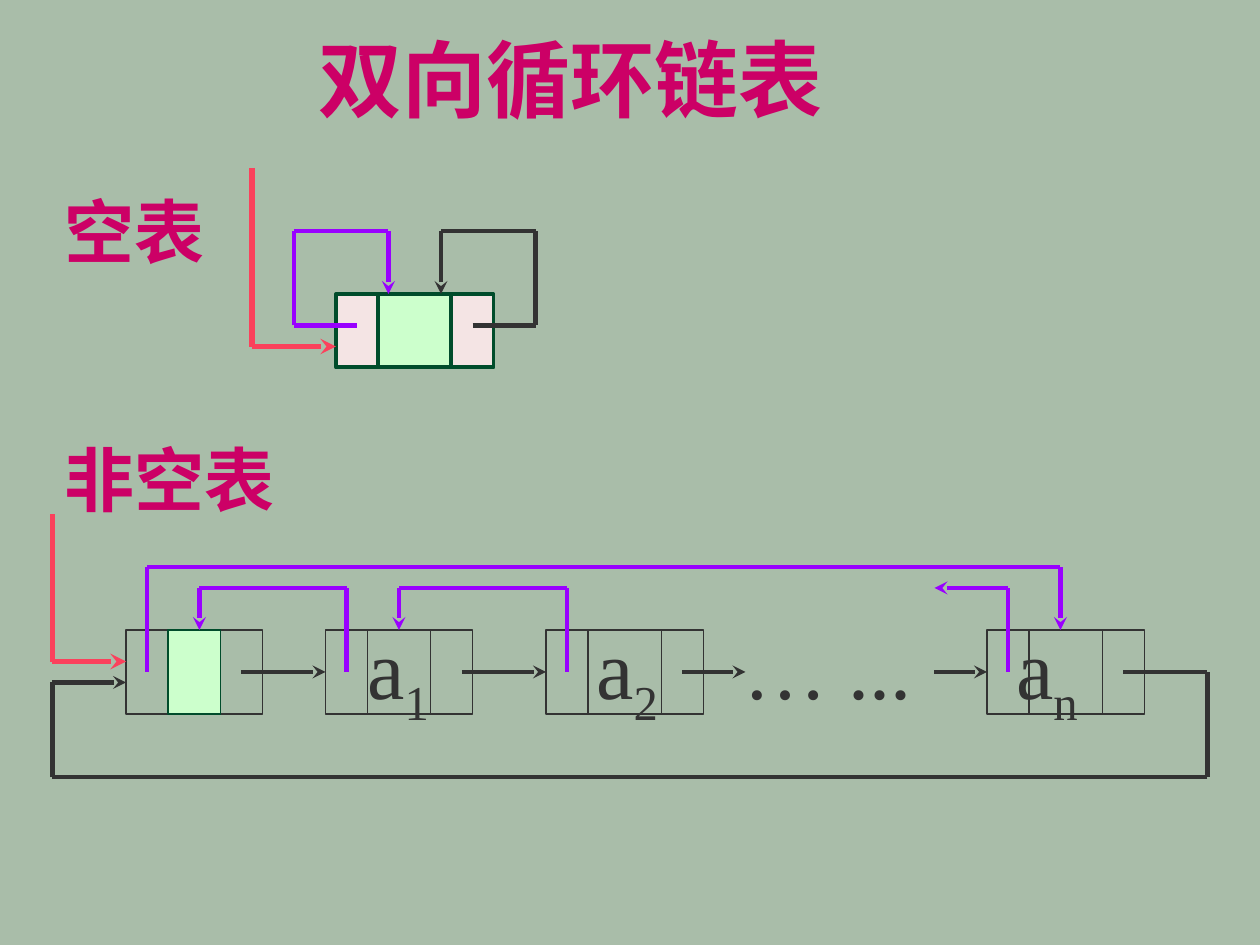
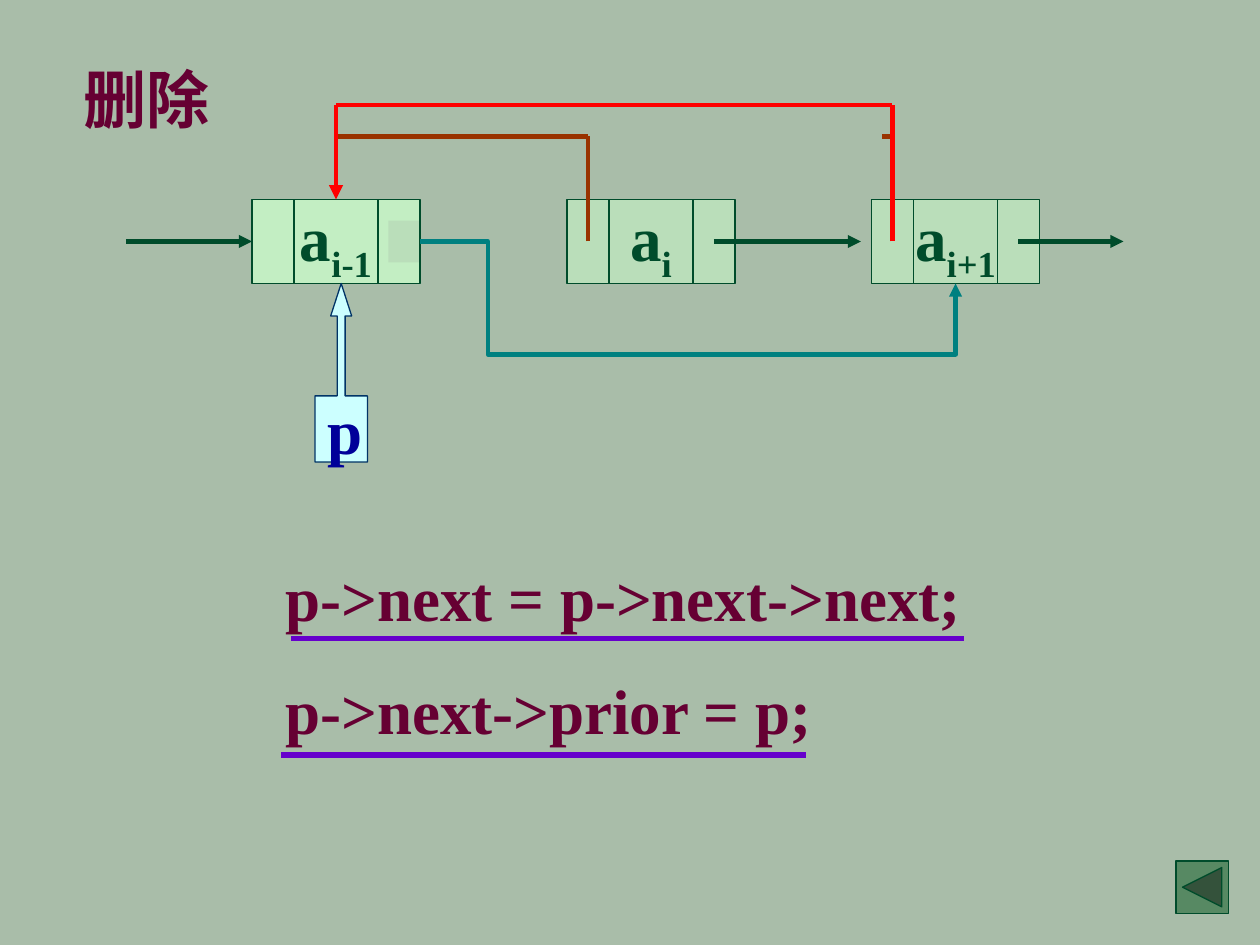
from lxml import etree
from pptx import Presentation
from pptx import util as u
from pptx.dml.color import RGBColor
from pptx.enum import shapes, text
from pptx.oxml.ns import qn

PX = 7620
FONT = "Times New Roman"
BACKGROUND = "A9BDA9"
INK = "333333"
GREEN = "004C2B"
MINT = "CCFFCC"
PALE_GREEN = "BADEBA"
PINK = "F4E4E4"
MAGENTA = "CC0066"
MAROON = "660033"
PURPLE = "9900FF"
CORAL = "FB415C"
TEAL = "008080"
BROWN = "993300"
RED = "FF0000"
color = RGBColor.from_string
RECTANGLE = shapes.MSO_SHAPE.RECTANGLE


def block(slide, frame, runs=(), size=36, ink=MAROON, bold=True,
          preset=None, fill=None, outline=None, width=0.75):
    frame = [length * PX for length in frame]
    if preset is None:
        shape = slide.shapes.add_textbox(*frame)
    else:
        shape = slide.shapes.add_shape(preset, *frame)
        shape.shadow.inherit = False
        if fill:
            shape.fill.solid()
            shape.fill.fore_color.rgb = color(fill)
        else:
            shape.fill.background()
        if outline:
            shape.line.color.rgb = color(outline)
            shape.line.width = u.Pt(width)
        else:
            shape.line.fill.background()
    shape.text_frame.word_wrap = preset != RECTANGLE
    paragraph = shape.text_frame.paragraphs[0]
    for index, words in enumerate(runs):
        run = paragraph.add_run()
        run.text = words
        run.font.name = FONT
        run.font.size = u.Pt(size)
        run.font.bold = bold
        run.font.color.rgb = color(ink)
        if index:
            run._r.get_or_add_rPr().set("baseline", "-25000")
    return shape


def route(slide, points, ink, width=2.5, arrow=None, begin=None, end=None,
          kind=shapes.MSO_CONNECTOR.STRAIGHT):
    legs = list(zip(points, points[1:]))
    for number, (start, finish) in enumerate(legs, 1):
        connector = slide.shapes.add_connector(
            kind, *[length * PX for length in start + finish])
        connector.line.color.rgb = color(ink)
        connector.line.width = u.Pt(width)
        if begin and number == 1:
            connector.begin_connect(*begin)
        if number == len(legs):
            if end:
                connector.end_connect(*end)
            if arrow:
                etree.SubElement(connector.line._get_or_add_ln(),
                                 qn("a:tailEnd"), type=arrow)
        etree.SubElement(connector._element.spPr, qn("a:effectLst"))
    return connector


presentation = Presentation()
presentation.slide_width = 1200 * PX
presentation.slide_height = 900 * PX
slides = []
for _ in range(2):
    slide = presentation.slides.add_slide(presentation.slide_layouts[6])
    slide.background.fill.solid()
    slide.background.fill.fore_color.rgb = color(BACKGROUND)
    slides.append(slide)
circular, deletion = slides

block(circular, (292, 20, 540, 108), ["双向循环链表"], 48, MAGENTA)
block(circular, (50, 174, 180, 92), ["空表"], 40, MAGENTA)
block(circular, (50, 410, 250, 92), ["非空表"], 40, MAGENTA)

for x, width, fill in [(360, 70, MINT), (430, 40, PINK), (320, 40, PINK)]:
    block(circular, (x, 280, width, 70), preset=RECTANGLE,
          fill=fill, outline=GREEN, width=2.25)
route(circular, [(450, 310), (510, 310), (510, 220), (420, 220), (420, 280)],
      INK, arrow="stealth")
route(circular, [(340, 310), (280, 310), (280, 220), (370, 220), (370, 280)],
      PURPLE, arrow="stealth")
route(circular, [(240, 160), (240, 330), (320, 330)], CORAL, 3, "stealth")

for x, label in [(338, ("a", "1")), (556, ("a", "2")),
                 (696, ("… ...",)), (956, ("a", "n"))]:
    block(circular, (x, 580, 200, 104), label, 48, INK, False)

nodes = []
for left, data_left, data_right, right in [
        (120, 160, 210, 250), (310, 350, 410, 450),
        (520, 560, 630, 670), (940, 980, 1050, 1090)]:
    nodes.append(block(circular, (left, 600, right - left, 80),
                       preset=RECTANGLE, outline=INK))
    for x in (data_left, data_right):
        route(circular, [(x, 600), (x, 680)], INK, 0.75)
head, first, second, last = nodes
block(circular, (160, 600, 50, 80), preset=RECTANGLE, fill=MINT, outline=GREEN)

for start, finish, target in [(230, 310, first), (440, 520, second),
                              (650, 710, None), (890, 940, last)]:
    route(circular, [(start, 640), (finish, 640)], INK, arrow="stealth",
          end=target and (target, 1))
route(circular, [(50, 490), (50, 630), (120, 630)], CORAL, 3, "stealth")
route(circular, [(1070, 640), (1150, 640), (1150, 740), (50, 740),
                 (50, 650), (120, 650)], INK, arrow="stealth")

route(circular, [(960, 640), (960, 560), (890, 560)], PURPLE, arrow="stealth")
for source, level, target, joint in [(540, 560, 380, (first, 0)),
                                     (330, 560, 190, None),
                                     (140, 540, 1010, None)]:
    route(circular, [(source, 640), (source, level), (target, level),
                     (target, 600)], PURPLE, arrow="stealth", end=joint)

block(deletion, (68, 52, 170, 84), ["删除"])

nodes = []
for left, index, fill in [(240, "i-1", "C3EEC3"), (540, "i", PALE_GREEN),
                          (830, "i+1", PALE_GREEN)]:
    node = block(deletion, (left, 190, 160, 80), ("a", index), ink=GREEN,
                 preset=RECTANGLE, fill=fill, outline=GREEN)
    node.text_frame.vertical_anchor = text.MSO_ANCHOR.MIDDLE
    node.text_frame.paragraphs[0].alignment = text.PP_ALIGN.CENTER
    nodes.append(node)
    for x in (left + 40, left + 120):
        route(deletion, [(x, 190), (x, 270)], GREEN, 0.75)
previous, removed, following = nodes
block(deletion, (370, 210, 29, 40), preset=RECTANGLE, fill=PALE_GREEN)

for start, finish, joint in [(120, 240, (previous, 1)), (680, 820, None),
                             (970, 1070, None)]:
    route(deletion, [(start, 230), (finish, 230)], GREEN,
          arrow="triangle", end=joint)

route(deletion, [(840, 130), (850, 130)], BROWN)
route(deletion, [(560, 230), (560, 130), (320, 130)], BROWN)
route(deletion, [(850, 230), (850, 100), (320, 100), (320, 190)], RED, 2.75,
      "triangle", end=(previous, 0))

bypass = route(deletion, [(400, 230), (910, 270)], TEAL, arrow="triangle",
               begin=(previous, 3), end=(following, 2),
               kind=shapes.MSO_CONNECTOR.ELBOW)
geometry = bypass._element.spPr.find(qn("a:prstGeom"))
geometry.set("prst", "bentConnector4")
guides = geometry.find(qn("a:avLst"))
for name, value in [("adj1", 12700), ("adj2", 268800)]:
    etree.SubElement(guides, qn("a:gd"), name=name, fmla=f"val {value}")

pointer = block(deletion, (300, 270, 50, 170), ["p"], ink="000099",
                preset=shapes.MSO_SHAPE.UP_ARROW_CALLOUT,
                fill="CCFFFF", outline="003366")
for index, value in enumerate((0.15, 0.2, 0.62, 0.37)):
    pointer.adjustments[index] = value
pointer.text_frame.vertical_anchor = text.MSO_ANCHOR.MIDDLE
pointer.text_frame.paragraphs[0].alignment = text.PP_ALIGN.CENTER

code = block(deletion, (260, 490, 760, 228))
code.text_frame.text = "p->next = p->next->next;\np->next->prior = p;"
for paragraph in code.text_frame.paragraphs:
    paragraph.line_spacing = 1.5
    font = paragraph.runs[0].font
    font.name = FONT
    font.size = u.Pt(36)
    font.bold = True
    font.color.rgb = color(MAROON)
for left, right, y in [(277, 918, 608), (268, 768, 719)]:
    route(deletion, [(left, y), (right, y)], "6600CC", 3)

block(deletion, (1120, 820, 50, 50),
      preset=shapes.MSO_SHAPE.ACTION_BUTTON_BACK_OR_PREVIOUS,
      fill="578963", outline=GREEN)

presentation.save("out.pptx")
